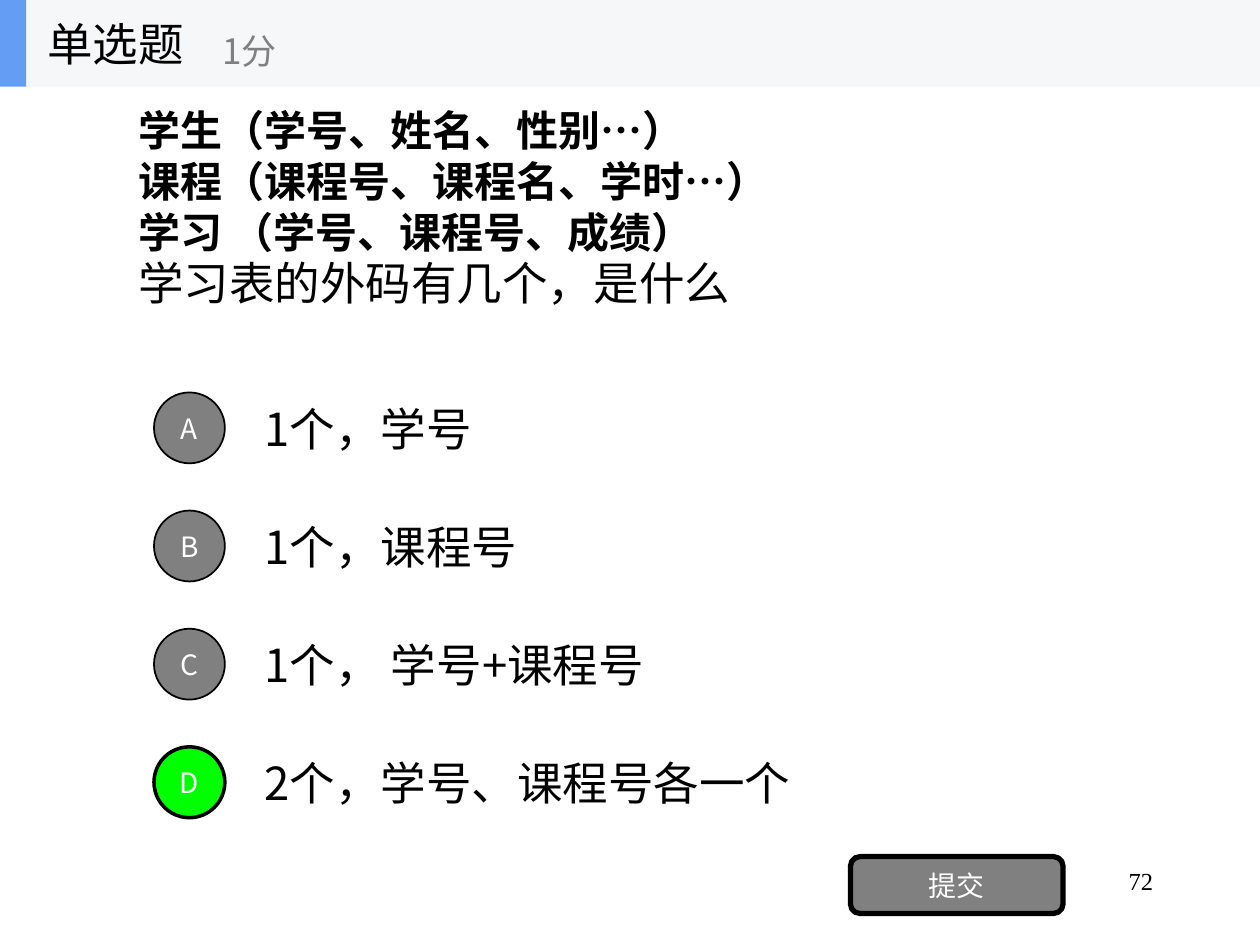
from lxml.etree import SubElement
from pptx import Presentation
from pptx.dml.color import RGBColor
from pptx.enum.shapes import MSO_SHAPE
from pptx.enum.text import MSO_ANCHOR, PP_ALIGN
from pptx.oxml.ns import qn
from pptx.util import Pt

HUES = {"ink": "000000", "grey": "808080", "white": "FFFFFF",
        "green": "00FF00", "band": "F6F7F8", "blue": "639EF4"}
SANS, SERIF = "Noto Sans CJK SC", "Times New Roman"


def hue(name):
    """Return the named colour."""
    return RGBColor.from_string(HUES[name])


def write(para, text, size, tint="ink", face=SANS, bold=False):
    """Add one run to a paragraph."""
    run = para.add_run()
    run.text = text
    font = run.font
    font.size, font.bold, font.name = Pt(size), bold, face
    font.color.rgb = hue(tint)
    SubElement(run._r.get_or_add_rPr(), qn("a:ea")).set("typeface", SANS)


def label(slide, box, anchor=MSO_ANCHOR.MIDDLE):
    """Add an empty text box and return its frame."""
    frame = slide.shapes.add_textbox(*map(Pt, box)).text_frame
    frame.word_wrap = True
    frame.vertical_anchor = anchor
    return frame


def block(slide, kind, box, fill, line=0):
    """Add a filled shape, outlined if line is a width."""
    shape = slide.shapes.add_shape(kind, *map(Pt, box))
    shape.shadow.inherit = False
    shape.fill.solid()
    shape.fill.fore_color.rgb = hue(fill)
    if line:
        shape.line.color.rgb = hue("ink")
        shape.line.width = Pt(line)
    else:
        shape.line.fill.background()
    return shape


def button(slide, kind, box, text, fill, line):
    """Add a shape with a centred white caption."""
    shape = block(slide, kind, box, fill, line)
    frame = shape.text_frame
    frame.margin_left = frame.margin_right = 0
    frame.margin_top = frame.margin_bottom = 0
    frame.vertical_anchor = MSO_ANCHOR.MIDDLE
    para = frame.paragraphs[0]
    para.alignment = PP_ALIGN.CENTER
    write(para, text, 16, "white")
    return shape


def header(slide, box, title, score):
    """Draw the top band with the question type and score."""
    left, top, width, height = box
    block(slide, MSO_SHAPE.RECTANGLE, box, "band")
    block(slide, MSO_SHAPE.RECTANGLE, (left, top, 15, height), "blue")
    name = label(slide, (left + 20, top, 150, height))
    write(name.paragraphs[0], title, 26)
    mark = label(slide, (left + 120, top + 9, 180, height - 9.5))
    write(mark.paragraphs[0], score, 20, "grey")


def question(slide, box, tables, ask):
    """Write the table schemas and the question below them."""
    frame = label(slide, box)
    for i, text in enumerate(tables + [ask]):
        para = frame.paragraphs[0] if i == 0 else frame.add_paragraph()
        if text == ask:
            para.line_spacing = Pt(30)
            write(para, text, 26)
        else:
            para.line_spacing = Pt(29)
            write(para, text, 24, face=SERIF, bold=True)


def choices(slide, box, items, answer):
    """Stack lettered answers in equal rows, marking the right one."""
    left, top, width, height = box
    step = height / len(items)
    for i, (key, text) in enumerate(items.items()):
        y = top + i * step
        right = key == answer
        frame = label(slide, (left + 56, y, width - 56, 50))
        write(frame.paragraphs[0], text, 26)
        button(slide, MSO_SHAPE.OVAL, (left, y + 4.75, 40.5, 40.5), key,
               "green" if right else "grey", 2 if right else 1)


def footer(slide, box, text, number):
    """Draw the submit button and the page number."""
    left, top, width, height = box
    button(slide, MSO_SHAPE.ROUNDED_RECTANGLE,
           (left, top, 121.5, height), text, "grey", 3)
    frame = label(slide, (left + 30, top + 2, width - 30, 36), MSO_ANCHOR.TOP)
    para = frame.paragraphs[0]
    para.alignment = PP_ALIGN.RIGHT
    write(para, number, 14, face=SERIF)


def main():
    """Build and save the slide."""
    deck = Presentation()
    deck.slide_width, deck.slide_height = Pt(720), Pt(540)
    slide = deck.slides.add_slide(deck.slide_layouts[6])
    header(slide, (0, 0, 720, 49.5), "单选题", "1分")
    question(slide, (72, 34, 576, 168.5),
             ["学生（学号、姓名、性别…）", "课程（课程号、课程名、学时…）",
              "学习 （学号、课程号、成绩）"],
             "学习表的外码有几个，是什么")
    choices(slide, (88, 219.5, 560, 270),
            {"A": "1个，学号", "B": "1个，课程号",
             "C": "1个， 学号+课程号", "D": "2个，学号、课程号各一个"}, "D")
    footer(slide, (486, 489.5, 180, 32.5), "提交", "72")
    deck.save("out.pptx")


if __name__ == "__main__":
    main()
